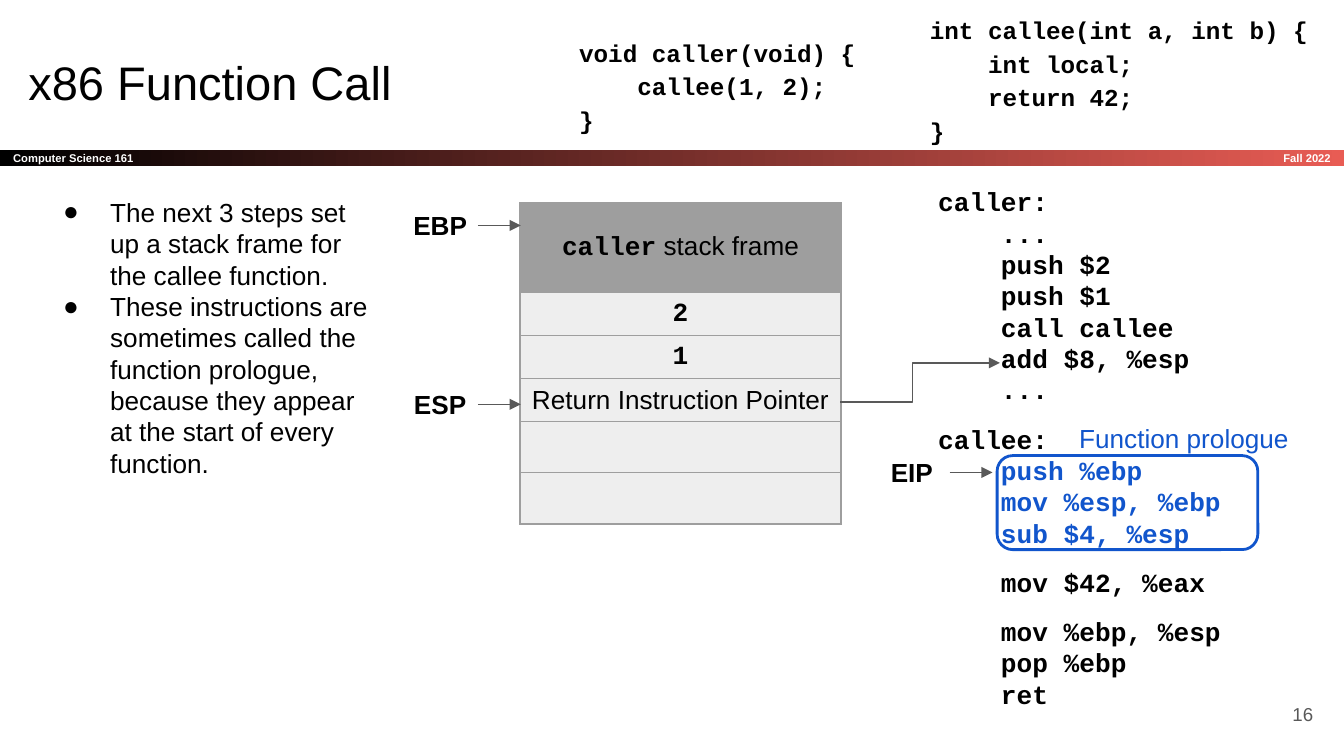
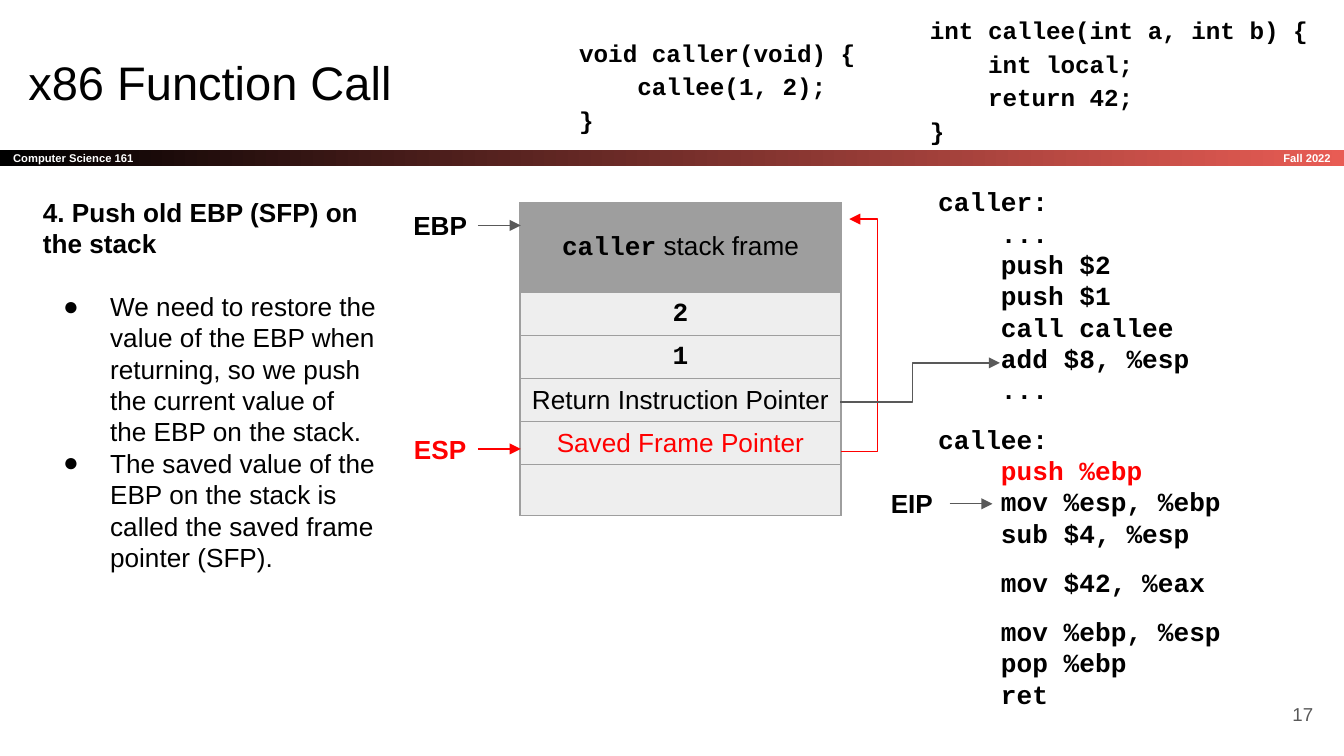
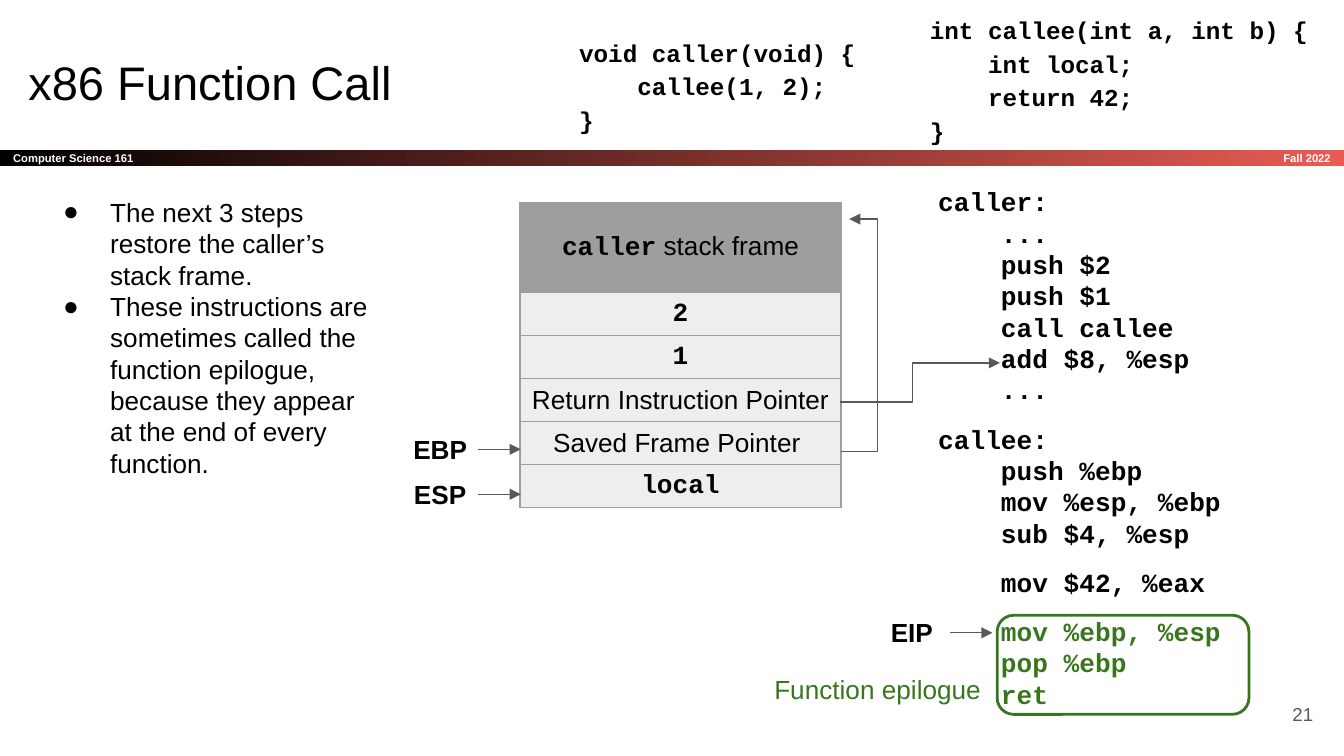
from dataclasses import dataclass, replace
from typing import Optional

from lxml.etree import SubElement as Sub
from pptx import Presentation
from pptx.dml.color import RGBColor as Rgb
from pptx.enum.shapes import MSO_CONNECTOR as Link, MSO_SHAPE as Kind
from pptx.enum.text import MSO_ANCHOR as Anchor, MSO_AUTO_SIZE as Fit, PP_ALIGN as Align
from pptx.oxml.ns import qn
from pptx.util import Pt

BLACK, WHITE, GREY = "000000", "FFFFFF", "595959"
RED, BLUE, GREEN = "FF0000", "1155CC", "38761D"
CORAL, EDGE, PALE = "E85C54", "9E9E9E", "EEEEEE"
SANS, MONO = "Arial", "Courier New"
PITCH = 16.8


@dataclass(frozen=True)
class Box:
    x: float
    y: float
    w: float
    h: float


@dataclass(frozen=True)
class Run:
    text: str
    ink: str = BLACK
    bold: bool = False
    face: str = SANS
    size: float = 14


@dataclass(frozen=True)
class Para:
    runs: tuple[Run, ...]
    align: Align = Align.LEFT
    gap: float = 0
    pitch: Optional[float] = None
    dot: bool = False


@dataclass(frozen=True)
class Label:
    name: str
    x: float
    y: float
    ink: str = BLACK


@dataclass(frozen=True)
class Group:
    text: str
    ring: Box
    note: Box


@dataclass(frozen=True)
class Step:
    page: str
    points: tuple[Para, ...]
    cells: tuple[Optional[Run], ...]
    marks: tuple[Label, ...]
    hot: range
    ink: str
    saved: str = ""
    group: Optional[Group] = None


TITLE = Box(8, 21.6, 671, 45.4)
CODE = Box(495.4, 92.2, 203.8, 306)
POINTS = Box(15.8, 97.9, 193, 296.6)
CALLER = Box(303.1, 10.8, 180, 67.7)
CALLEE = Box(491, -1.4, 219.6, 85)
PAGE = Box(667.4, 367.2, 43.2, 31)
BAND = Box(0, 80.2, 720, 8.6)
TERM = Box(600.5, 80.2, 119.5, 8.6)
STACK = Box(278.6, 108.6, 172, 108.24)
FIRST, ROW = 48.24, 12
LEFT, RIGHT = 216, 468.7

CALLER_C = "void caller(void) {\n    callee(1, 2);\n}"
CALLEE_C = "int callee(int a, int b) {\n    int local;\n    return 42;\n}"
ASM = (
    "caller:", "    ...", "    push $2", "    push $1", "    call callee",
    "    add $8, %esp", "    ...", "callee:", "    push %ebp",
    "    mov %esp, %ebp", "    sub $4, %esp", "    mov $42, %eax",
    "    mov %ebp, %esp", "    pop %ebp", "    ret",
)
BREAKS = (7, 11, 12)
RETURN = ((450, 215.3), (488.9, 215.3), (488.9, 194.4), (535.7, 194.4))
SAVED = ((450.7, 241.9), (470.2, 241.9), (470.2, 117.4), (455, 117.4))


def hue(code: str) -> Rgb:
    return Rgb.from_string(code)


def span(box: Box) -> tuple[Pt, ...]:
    return Pt(box.x), Pt(box.y), Pt(box.w), Pt(box.h)


def mono(text: str, ink: str = BLACK, size: float = 14) -> Run:
    return Run(text, ink, True, MONO, size)


def point(text: str, gap: float = 0) -> Para:
    return Para((Run(text),), gap=gap, pitch=PITCH, dot=True)


def snip(text: str) -> Para:
    return Para((mono(text, size=13),), pitch=18)


def bullet(para, dot: bool) -> None:
    prop = para._p.get_or_add_pPr()
    prop.set("marL", str(Pt(36) if dot else 0))
    prop.set("indent", str(Pt(-25.2) if dot else 0))
    if dot:
        Sub(Sub(prop, qn("a:buClr")), qn("a:srgbClr")).set("val", BLACK)
        Sub(prop, qn("a:buFont")).set("typeface", SANS)
        Sub(prop, qn("a:buChar")).set("char", "●")
    else:
        Sub(prop, qn("a:buNone"))


def add_run(para, run: Run) -> None:
    for i, line in enumerate(run.text.split("\n")):
        if i:
            para.add_line_break()
        part = para.add_run()
        part.text = line
        font = part.font
        font.name, font.size, font.bold = run.face, Pt(run.size), run.bold
        font.color.rgb = hue(run.ink)


def write(frame, paras: tuple[Para, ...]) -> None:
    for i, item in enumerate(paras):
        para = frame.paragraphs[0] if i == 0 else frame.add_paragraph()
        para.alignment = item.align
        para.space_before, para.space_after = Pt(item.gap), Pt(0)
        if item.pitch:
            para.line_spacing = Pt(item.pitch)
        bullet(para, item.dot)
        for run in item.runs:
            add_run(para, run)


def set_text(shape, paras: tuple[Para, ...], anchor: Anchor = Anchor.TOP, pad: float = 7.2) -> None:
    frame = shape.text_frame
    frame.word_wrap, frame.auto_size = True, Fit.NONE
    frame.vertical_anchor = anchor
    frame.margin_left = frame.margin_right = Pt(pad)
    frame.margin_top = frame.margin_bottom = Pt(pad)
    write(frame, paras)


def add_text(slide, box: Box, para: Para, anchor: Anchor = Anchor.TOP, pad: float = 7.2):
    shape = slide.shapes.add_textbox(*span(box))
    set_text(shape, (para,), anchor, pad)
    return shape


def put(shape, box: Box, paras: tuple[Para, ...]) -> None:
    shape.left, shape.top, shape.width, shape.height = span(box)
    set_text(shape, paras)


def stroke(shape, ink: str, width: float = 0.75) -> None:
    shape.line.color.rgb = hue(ink)
    shape.line.width = Pt(width)


def tip(shape) -> None:
    line = shape.element.find(".//" + qn("a:ln"))
    Sub(line, qn("a:tailEnd")).set("type", "triangle")


def add_path(slide, dots: tuple[tuple[float, float], ...], ink: str) -> None:
    ends = [(Pt(x), Pt(y)) for x, y in dots]
    pen = slide.shapes.build_freeform(*ends[0], scale=1.0)
    pen.add_line_segments(ends[1:], close=False)
    shape = pen.convert_to_shape()
    shape.shadow.inherit = False
    shape.fill.background()
    stroke(shape, ink)
    tip(shape)


def add_mark(slide, mark: Label) -> None:
    run = Run(mark.name, mark.ink, True)
    add_text(slide, Box(mark.x, mark.y, 39.6, 24.5), Para((run,), Align.CENTER), pad=3.6)
    y = Pt(mark.y + 12.1)
    line = slide.shapes.add_connector(Link.STRAIGHT, Pt(mark.x + 40), y, Pt(mark.x + 63), y)
    stroke(line, GREY if mark.ink == BLACK else mark.ink)
    tip(line)
    Sub(line.element.spPr, qn("a:effectLst"))


def add_group(slide, group: Group, ink: str) -> None:
    ring = slide.shapes.add_shape(Kind.ROUNDED_RECTANGLE, *span(group.ring))
    ring.shadow.inherit = False
    ring.fill.background()
    stroke(ring, ink, 1.5)
    add_text(slide, group.note, Para((Run(group.text, ink),), Align.CENTER))


def frame_cell(cell, fill: str) -> None:
    prop = cell._tc.get_or_add_tcPr()
    for side in ("a:lnL", "a:lnR", "a:lnT", "a:lnB"):
        line = Sub(prop, qn(side))
        line.set("w", str(Pt(0.75)))
        Sub(Sub(line, qn("a:solidFill")), qn("a:srgbClr")).set("val", EDGE)
    cell.fill.solid()
    cell.fill.fore_color.rgb = hue(fill)
    cell.margin_left = cell.margin_right = Pt(3.6)
    cell.margin_top = cell.margin_bottom = Pt(3.6)


def add_stack(slide, cells: tuple[Optional[Run], ...]) -> None:
    rows = ((mono("caller"), Run(" stack frame")),) + tuple((c,) if c else () for c in cells)
    table = slide.shapes.add_table(len(rows), 1, *span(STACK)).table
    table.first_row = table.horz_banding = False
    for i, runs in enumerate(rows):
        table.rows[i].height = Pt(ROW if i else FIRST)
        cell = table.cell(i, 0)
        frame_cell(cell, PALE if i else EDGE)
        cell.vertical_anchor = Anchor.TOP if i else Anchor.MIDDLE
        if runs:
            write(cell.text_frame, (Para(runs, Align.CENTER),))
        else:
            end = Sub(cell.text_frame.paragraphs[0]._p, qn("a:endParaRPr"))
            end.set("sz", "1800")
            Sub(end, qn("a:latin")).set("typeface", SANS)


def add_band(slide, layout) -> None:
    band = slide.shapes.add_shape(Kind.RECTANGLE, *span(BAND))
    band.shadow.inherit = False
    band.line.fill.background()
    band.fill.gradient()
    band.fill.gradient_angle = 0
    for stop, ink in zip(band.fill.gradient_stops, (BLACK, CORAL)):
        stop.color.rgb = hue(ink)
    small = Run("Computer Science 161", WHITE, True, size=6)
    set_text(band, (Para((small,)),), Anchor.MIDDLE)
    term = Para((replace(small, text="Fall 2022"),), Align.RIGHT)
    note = add_text(slide, TERM, term, Anchor.MIDDLE)
    for shape in (band, note):
        layout.shapes.element.append(shape.element)


def add_step(slide, step: Step) -> None:
    code = tuple(
        Para((mono(line, step.ink if i in step.hot else BLACK),),
             gap=9.5 if i in BREAKS else 0, pitch=PITCH)
        for i, line in enumerate(ASM)
    )
    title = (Para((Run("x86 Function Call", size=25.2),)),)
    parts = (
        (TITLE, title), (CALLER, (snip(CALLER_C),)), (CODE, code),
        (POINTS, step.points), (CALLEE, (snip(CALLEE_C),)),
    )
    for shape, (box, paras) in zip(slide.placeholders, parts):
        put(shape, box, paras)
    page = Para((Run(step.page, GREY, size=10),), Align.RIGHT)
    add_text(slide, PAGE, page, Anchor.MIDDLE)
    add_stack(slide, step.cells)
    if step.saved:
        add_path(slide, SAVED, step.saved)
    add_path(slide, RETURN, GREY)
    if step.group:
        add_group(slide, step.group, step.ink)
    for mark in step.marks:
        add_mark(slide, mark)


ARGS = (mono("2"), mono("1"), Run("Return Instruction Pointer"))
STEPS = (
    Step(
        "16",
        (point("The next 3 steps set up a stack frame for the callee function."),
         point("These instructions are sometimes called the function prologue, "
               "because they appear at the start of every function.")),
        ARGS + (None, None),
        (Label("EBP", LEFT, 108.7), Label("ESP", LEFT, 204.5), Label("EIP", RIGHT, 241)),
        range(8, 11), BLUE,
        group=Group("Function prologue", Box(534.2, 244.1, 139.7, 50.4),
                    Box(570.2, 218.9, 128.2, 31.7)),
    ),
    Step(
        "17",
        (Para((Run("4. Push old EBP (SFP) on the stack", bold=True),), pitch=PITCH),
         point("We need to restore the value of the EBP when returning, "
               "so we push the current value of the EBP on the stack.", PITCH),
         point("The saved value of the EBP on the stack is called "
               "the saved frame pointer (SFP).")),
        ARGS + (Run("Saved Frame Pointer", RED), None),
        (Label("EBP", LEFT, 108.7), Label("ESP", LEFT, 228.4, RED), Label("EIP", RIGHT, 257.8)),
        range(8, 9), RED, RED,
    ),
    Step(
        "21",
        (point("The next 3 steps restore the caller’s stack frame."),
         point("These instructions are sometimes called the function epilogue, "
               "because they appear at the end of every function.")),
        ARGS + (Run("Saved Frame Pointer "), mono("local")),
        (Label("EBP", LEFT, 228.6), Label("ESP", LEFT, 252.7), Label("EIP", RIGHT, 326.9)),
        range(12, 15), GREEN, GREY,
        Group("Function epilogue", Box(534.2, 329.6, 134.9, 53.1),
              Box(406.1, 353.5, 128.2, 31.7)),
    ),
)


def main() -> None:
    deck = Presentation()
    deck.slide_width, deck.slide_height = Pt(720), Pt(405)
    layout = deck.slide_layouts[4]
    for i, step in enumerate(STEPS):
        slide = deck.slides.add_slide(layout)
        if i == 0:
            add_band(slide, layout)
        add_step(slide, step)
    deck.save("out.pptx")


if __name__ == "__main__":
    main()
